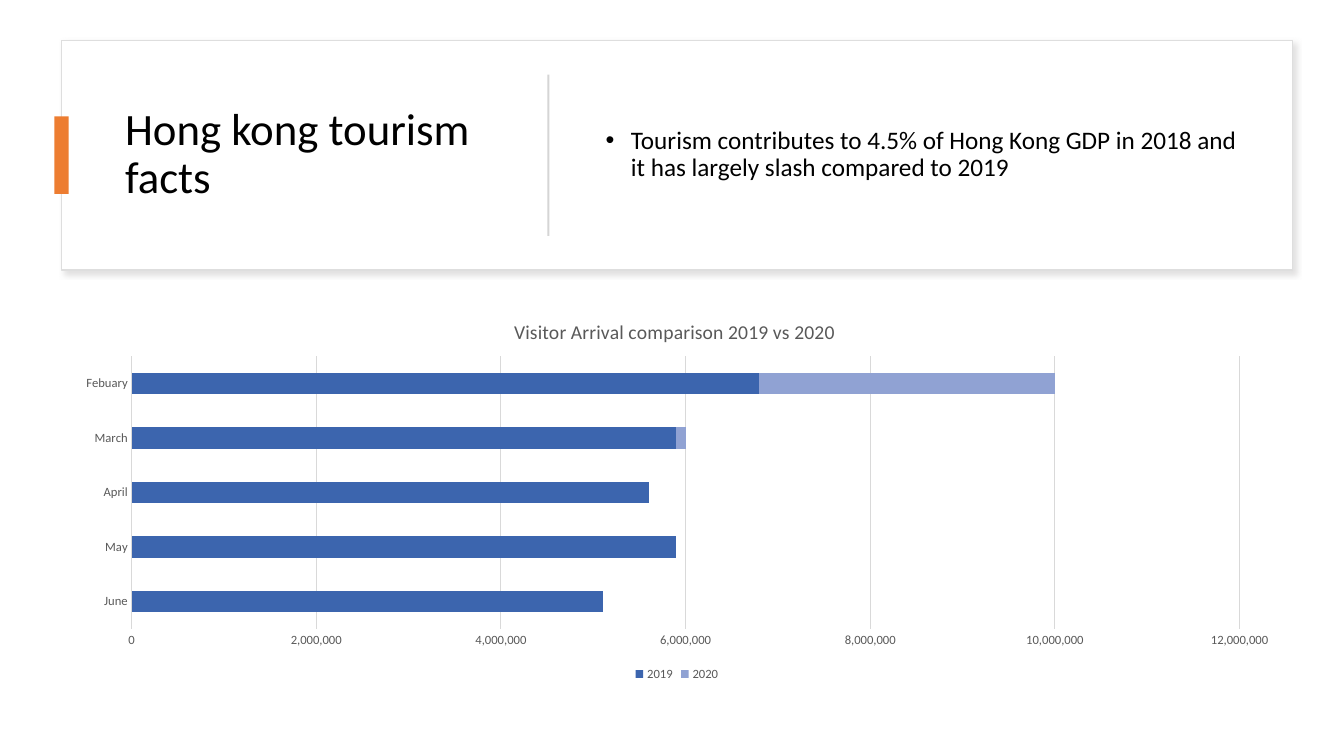
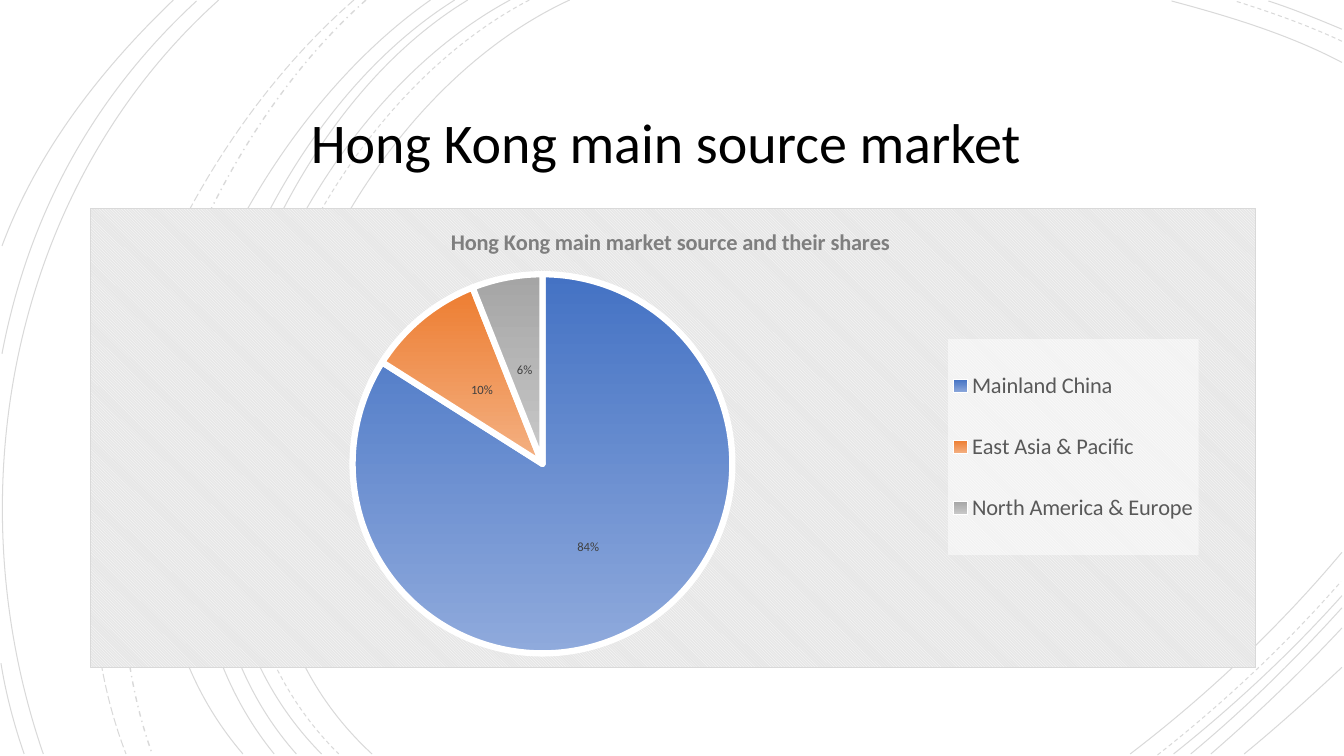
from dataclasses import dataclass
from lxml import etree
from pptx import Presentation
from pptx.chart.data import CategoryChartData
from pptx.dml.color import RGBColor
from pptx.enum.chart import XL_CHART_TYPE as ChartType
from pptx.enum.chart import XL_LABEL_POSITION as LabelPosition
from pptx.enum.chart import XL_LEGEND_POSITION as LegendPosition
from pptx.enum.chart import XL_TICK_MARK as TickMark
from pptx.enum.dml import MSO_LINE as Dash
from pptx.enum.shapes import MSO_SHAPE as Preset
from pptx.enum.text import MSO_ANCHOR as Anchor
from pptx.enum.text import MSO_AUTO_SIZE as AutoSize
from pptx.enum.text import PP_ALIGN as Align
from pptx.oxml import parse_xml
from pptx.oxml.ns import nsdecls, qn
from pptx.util import Inches, Pt


@dataclass(frozen=True)
class Theme:
    font: str = "Calibri"
    ink: str = "000000"
    paper: str = "FFFFFF"
    accent: str = "ED7D31"
    border: str = "DEDEDE"
    divider: str = "D5D5D5"
    grid: str = "D9D9D9"
    shadow: str = "C5C3C3"
    panel: str = "E6E6E6"
    chart_text: str = "595959"
    pie_title: str = "7F7F7F"
    label: str = "404040"
    bars: tuple = ("3C65AE", "90A2D3")
    slices: tuple = (("4472C4", "8FAADC"), ("ED7D31", "F4B183"), ("A5A5A5", "C9C9C9"))
    card_title_size: int = 32
    title_size: int = 40
    body_size: int = 18
    chart_title_size: int = 14
    pie_title_size: int = 16
    legend_size: int = 16
    small_size: int = 9


THEME = Theme()
WIDTH, HEIGHT = 13.33, 7.5

FACTS = {
    "title": "Hong kong tourism facts",
    "bullet": "Tourism contributes to 4.5% of Hong Kong GDP in 2018 and it has largely slash compared to 2019",
    "chart_title": "Visitor Arrival comparison 2019 vs 2020 ",
    "months": ["June", "May", "April", "March", "Febuary"],
    "arrivals": {
        "2019": [5100000, 5900000, 5600000, 5900000, 6800000],
        "2020": [0, 0, 0, 100000, 3200000],
    },
}
MARKET = {
    "title": "Hong Kong main source market ",
    "chart_title": "Hong Kong main market source and their shares ",
    "regions": ["Mainland China", "East Asia & Pacific", "North America & Europe"],
    "shares": {"Series 1": [84, 10, 6]},
}
SOLID, DASHED = (Dash.SOLID, 0.75), (Dash.DASH, 0.75)
DOTTED, LONG_DASHED = (Dash.DASH_DOT, 1), (Dash.LONG_DASH, 0.75)
ARCS = [
    (SOLID, [(5.65, 0), (3.15, 1.15), (1.43, 5.4), (3.69, 7.48)]),
    (SOLID, [(13.31, 0.62), (12.78, 0.34), (12.18, 0.16), (11.62, 0.01)]),
    (SOLID, [(11.21, 7.48), (11.97, 6.9), (12.69, 6.22), (13.31, 5.48)]),
    (DASHED, [(5.25, 0), (2.85, 1.25), (1.23, 5.37), (3.36, 7.48)]),
    (DASHED, [(13.31, 0.41), (12.97, 0.25), (12.6, 0.12), (12.25, 0.01)]),
    (DASHED, [(11.48, 7.49), (12.13, 6.98), (12.75, 6.4), (13.3, 5.77)]),
    (SOLID, [(5.06, 0), (2.7, 1.27), (1.1, 5.37), (3.19, 7.48)]),
    (SOLID, [(13.31, 0.29), (13.07, 0.19), (12.83, 0.09), (12.58, 0.01)]),
    (SOLID, [(11.64, 7.48), (12.23, 7.01), (12.8, 6.48), (13.31, 5.91)]),
    (SOLID, [(4.64, 0), (2.44, 1.33), (1.1, 5.41), (2.94, 7.48)]),
    (SOLID, [(11.81, 7.48), (12.34, 7.04), (12.84, 6.55), (13.31, 6.03)]),
    (SOLID, [(4.51, 0), (2.31, 1.38), (0.97, 5.33), (2.72, 7.48)]),
    (SOLID, [(12.01, 7.48), (12.46, 7.09), (12.9, 6.67), (13.31, 6.23)]),
    (SOLID, [(4.27, 0), (2.17, 1.47), (0.53, 5.29), (2.41, 7.48)]),
    (SOLID, [(12.34, 7.48), (12.67, 7.21), (12.99, 6.92), (13.31, 6.62)]),
    (DOTTED, [(3.63, 0), (1.76, 1.66), (0.65, 5.09), (1.51, 7.48)]),
    (LONG_DASHED, [(3.51, 0), (1.57, 1.69), (0.29, 4.99), (1.25, 7.48)]),
    (SOLID, [(2.17, 0), (0.11, 1.85), (-0.46, 4.9), (0.43, 7.48)]),
    (SOLID, [(1.95, 0.01), (0.92, 0.96), (0.28, 2.14), (0.02, 3.51)]),
    (SOLID, [(0.01, 6.58), (0.06, 6.89), (0.14, 7.19), (0.24, 7.48)]),
    (SOLID, [(1.72, 0), (1, 0.69), (0.37, 1.5), (0.02, 2.44)]),
]
ARC_OPACITY = 15

CARD = (0.61, 0.4, 12.21, 2.28)
TEXT_TOP, TEXT_HEIGHT = 0.64, 1.8


def rgb(value):
    return RGBColor.from_string(value)


def inches(box):
    return [Inches(length) for length in box]


def style_font(font, size, color, bold=False):
    font.name = THEME.font
    font.size = Pt(size)
    font.bold = bold
    font.color.rgb = rgb(color)


def write_text(shape, text, size, align=Align.LEFT):
    frame = shape.text_frame
    frame.text = text
    frame.word_wrap = True
    frame.auto_size = AutoSize.TEXT_TO_FIT_SHAPE
    frame.vertical_anchor = Anchor.MIDDLE
    paragraph = frame.paragraphs[0]
    paragraph.alignment = align
    paragraph.line_spacing = 0.9
    style_font(paragraph.runs[0].font, size, THEME.ink)
    return paragraph


def add_titled_slide(presentation, text, box, size, align=Align.LEFT):
    slide = presentation.slides.add_slide(presentation.slide_layouts[5])
    title = slide.shapes.title
    title.left, title.top, title.width, title.height = inches(box)
    write_text(title, text, size, align)
    return slide


def add_block(slide, box, fill):
    shape = slide.shapes.add_shape(Preset.RECTANGLE, *inches(box))
    shape.shadow.inherit = False
    shape.fill.solid()
    shape.fill.fore_color.rgb = rgb(fill)
    shape.line.fill.background()
    return shape


def send_behind_title(slide, shape):
    slide.shapes.title.element.addprevious(shape.element)


def add_card(slide):
    card = add_block(slide, CARD, THEME.paper)
    card.line.color.rgb = rgb(THEME.border)
    card.line.width = Pt(1)
    effects = card.element.spPr.find(qn("a:effectLst"))
    effects.append(parse_xml(
        f'<a:outerShdw {nsdecls("a")} blurRad="{Pt(4)}" dist="{Pt(3)}" dir="2700000" algn="tl" '
        f'rotWithShape="0"><a:srgbClr val="{THEME.shadow}"><a:alpha val="50000"/></a:srgbClr></a:outerShdw>'))
    send_behind_title(slide, card)


def add_bullet(slide, text, box):
    paragraph = write_text(slide.shapes.add_textbox(*inches(box)), text, THEME.body_size)
    paragraph.space_after = Pt(6)
    properties = paragraph._p.get_or_add_pPr()
    properties.set("marL", str(Inches(0.31)))
    properties.set("indent", str(Inches(-0.25)))
    etree.SubElement(properties, qn("a:buFont")).set("typeface", "Arial")
    etree.SubElement(properties, qn("a:buChar")).set("char", "•")


def add_arc(shapes, points):
    start, *rest = [inches(point) for point in points]
    builder = shapes.build_freeform(*start)
    builder.add_line_segments(rest, close=False)
    arc = builder.convert_to_shape()
    segments = list(arc.element.iter(qn("a:lnTo")))
    curve = etree.Element(qn("a:cubicBezTo"))
    segments[0].addprevious(curve)
    for segment in segments:
        curve.append(segment[0])
        segment.getparent().remove(segment)
    return arc


def add_arcs(slide):
    group = slide.shapes.add_group_shape()
    for (dash, weight), points in ARCS:
        arc = add_arc(group.shapes, points)
        arc.shadow.inherit = False
        arc.fill.background()
        arc.line.color.rgb = rgb(THEME.ink)
        arc.line.width = Pt(weight)
        arc.line.dash_style = dash
        color = arc.line._ln.find(".//" + qn("a:srgbClr"))
        etree.SubElement(color, qn("a:alpha")).set("val", str(ARC_OPACITY * 1000))
    send_behind_title(slide, group)


def set_layout(element, index, **percents):
    for old in element.findall(qn("c:layout")):
        element.remove(old)
    layout = etree.Element(qn("c:layout"))
    manual = etree.SubElement(layout, qn("c:manualLayout"))
    if element.tag == qn("c:plotArea"):
        etree.SubElement(manual, qn("c:layoutTarget")).set("val", "inner")
    for side in "xy":
        etree.SubElement(manual, qn(f"c:{side}Mode")).set("val", "edge")
    for name, percent in percents.items():
        etree.SubElement(manual, qn(f"c:{name}")).set("val", str(percent / 100))
    element.insert(index, layout)


def add_filled_properties(text_properties, content):
    text_properties.addprevious(parse_xml(f'<c:spPr {nsdecls("c", "a")}>{content}</c:spPr>'))


def add_chart(slide, kind, box, categories, series, title, title_font, legend, legend_size):
    data = CategoryChartData(number_format="#,##0")
    data.categories = categories
    for name, values in series.items():
        data.add_series(name, values)
    chart = slide.shapes.add_chart(kind, *inches(box), data).chart
    style_font(chart.font, 10, THEME.ink)
    chart.has_title = True
    chart.chart_title.text_frame.text = title
    style_font(chart.chart_title.text_frame.paragraphs[0].runs[0].font, *title_font)
    chart.has_legend = True
    chart.legend.position = legend
    chart.legend.include_in_layout = False
    style_font(chart.legend.font, legend_size, THEME.chart_text)
    return chart


def build_facts(presentation):
    slide = add_titled_slide(presentation, FACTS["title"], (1.14, TEXT_TOP, 3.89, TEXT_HEIGHT),
                             THEME.card_title_size)
    slide.shapes.title.element.spPr.append(
        parse_xml(f'<a:prstGeom {nsdecls("a")} prst="ellipse"><a:avLst/></a:prstGeom>'))
    add_card(slide)
    middle = CARD[1] + CARD[3] / 2
    for left, width, height, fill in ((0.54, 0.14, 0.77, THEME.accent), (5.43, 0.02, 1.6, THEME.divider)):
        add_block(slide, (left, middle - height / 2, width, height), fill)
    add_bullet(slide, FACTS["bullet"], (5.85, TEXT_TOP, 6.56, TEXT_HEIGHT))
    chart = add_chart(slide, ChartType.BAR_STACKED, (CARD[0], 2.99, CARD[2], 3.81), FACTS["months"],
                      FACTS["arrivals"], FACTS["chart_title"],
                      (THEME.chart_title_size, THEME.chart_text), LegendPosition.BOTTOM, THEME.small_size)
    plot = chart.plots[0]
    plot.gap_width, plot.overlap, plot.vary_by_categories = 150, 100, False
    for series, color in zip(plot.series, THEME.bars):
        series.format.fill.solid()
        series.format.fill.fore_color.rgb = rgb(color)
    for axis in (chart.category_axis, chart.value_axis):
        axis.major_tick_mark = axis.minor_tick_mark = TickMark.NONE
        style_font(axis.tick_labels.font, THEME.small_size, THEME.chart_text)
    chart.value_axis.maximum_scale = 12000000
    chart.value_axis.minimum_scale = 0
    chart.value_axis.major_unit = 2000000
    chart.value_axis.tick_labels.number_format = "#,##0"
    chart.value_axis.tick_labels.number_format_is_linked = False
    chart.value_axis.format.line.fill.background()
    for line in (chart.category_axis.format.line, chart.value_axis.major_gridlines.format.line):
        line.color.rgb = rgb(THEME.grid)
        line.width = Pt(0.75)
    set_layout(chart._chartSpace.chart.plotArea, 0, x=5.7, y=14.3, w=90, h=71)


def build_market(presentation):
    slide = add_titled_slide(presentation, MARKET["title"], (1.92, 0.87, 9.49, 1.15),
                             THEME.title_size, Align.CENTER)
    add_arcs(slide)
    chart = add_chart(slide, ChartType.PIE, (0.89, 2.06, 11.57, 4.57), MARKET["regions"],
                      MARKET["shares"], MARKET["chart_title"],
                      (THEME.pie_title_size, THEME.pie_title, True), LegendPosition.RIGHT, THEME.legend_size)
    plot = chart.plots[0]
    plot.vary_by_categories = True
    for index, stops in enumerate(THEME.slices):
        style = plot.series[0].points[index].format
        style.fill.gradient()
        style.fill.gradient_angle = 270
        for position, (stop, color) in enumerate(zip(style.fill.gradient_stops, stops)):
            stop.color.rgb = rgb(color)
            stop.position = position
        style.line.color.rgb = rgb(THEME.paper)
        style.line.width = Pt(4.5)
    plot.has_data_labels = True
    labels = plot.data_labels
    labels.show_percentage, labels.show_value = True, False
    labels.number_format, labels.number_format_is_linked = "0%", False
    labels.position = LabelPosition.CENTER
    style_font(labels.font, THEME.small_size, THEME.label)
    space = chart._chartSpace
    add_filled_properties(
        space.find(qn("c:txPr")),
        f'<a:pattFill prst="dkDnDiag"><a:fgClr><a:srgbClr val="{THEME.paper}"/></a:fgClr>'
        f'<a:bgClr><a:srgbClr val="{THEME.panel}"/></a:bgClr></a:pattFill>'
        f'<a:ln w="{Pt(0.75)}"><a:solidFill><a:srgbClr val="{THEME.grid}"/></a:solidFill></a:ln>')
    legend = space.chart.find(qn("c:legend"))
    add_filled_properties(
        legend.find(qn("c:txPr")),
        f'<a:solidFill><a:srgbClr val="{THEME.paper}"><a:alpha val="50000"/></a:srgbClr></a:solidFill>')
    set_layout(legend, 1, x=73.6, y=28.5, w=21.5, h=47)
    set_layout(space.chart.plotArea, 0, x=22.5, y=14.4, w=32.6, h=82.5)


def main():
    presentation = Presentation()
    presentation.slide_width, presentation.slide_height = inches((WIDTH, HEIGHT))
    build_facts(presentation)
    build_market(presentation)
    presentation.save("out.pptx")


if __name__ == "__main__":
    main()
